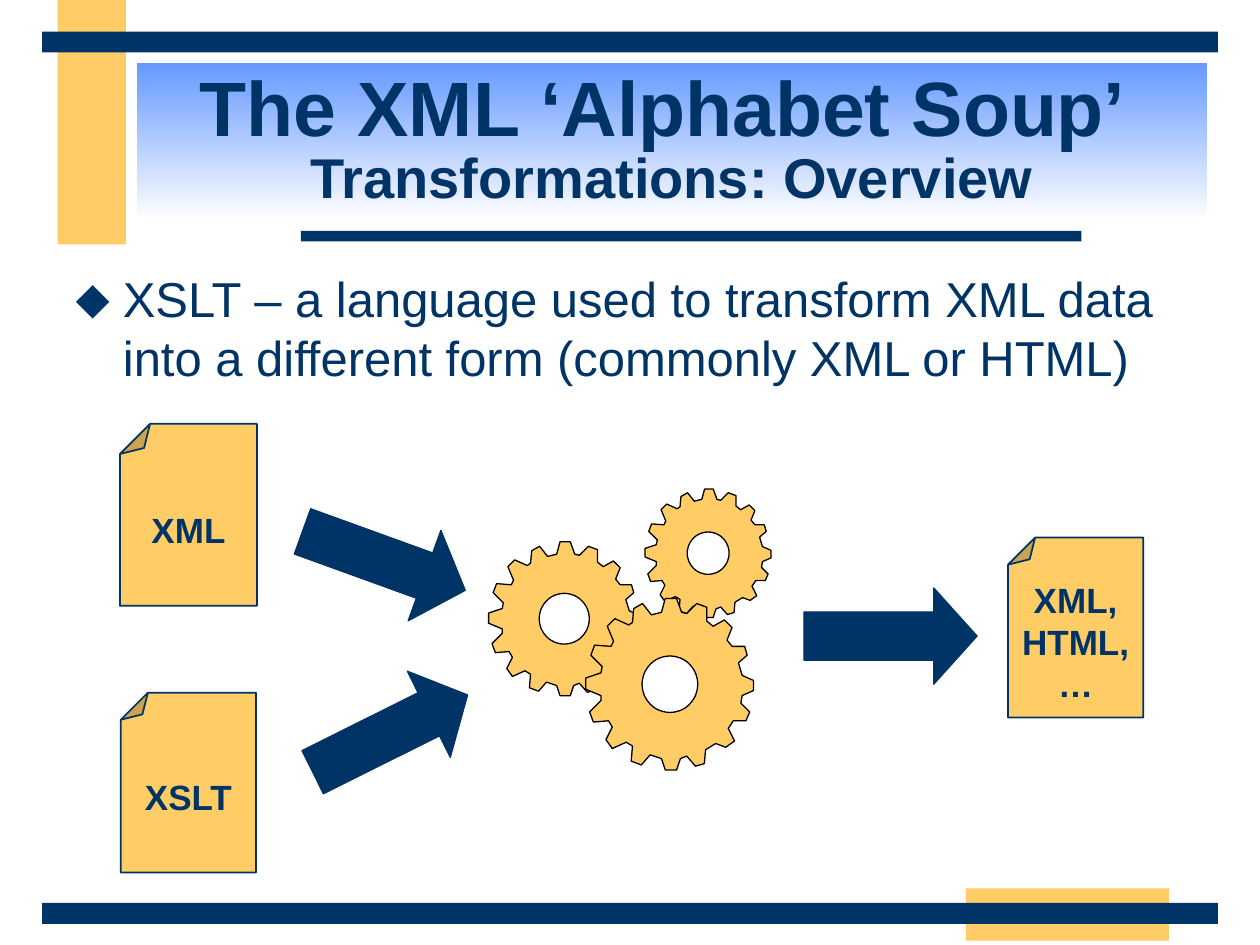
from math import cos, pi, sin

from lxml import etree
from pptx import Presentation
from pptx.dml.color import RGBColor
from pptx.enum.shapes import MSO_SHAPE
from pptx.enum.text import MSO_ANCHOR, MSO_AUTO_SIZE, PP_ALIGN
from pptx.oxml.ns import qn
from pptx.util import Pt

RECTANGLE = MSO_SHAPE.RECTANGLE
FOLDED_CORNER = MSO_SHAPE.FOLDED_CORNER
RIGHT_ARROW = MSO_SHAPE.RIGHT_ARROW
MIDDLE = MSO_ANCHOR.MIDDLE
CENTER = PP_ALIGN.CENTER
NO_AUTOFIT = MSO_AUTO_SIZE.NONE

NAVY = RGBColor(0x00, 0x33, 0x66)
GOLD = RGBColor(0xFF, 0xCC, 0x66)
SKY = RGBColor(0x66, 0x99, 0xFF)
WHITE = RGBColor(0xFF, 0xFF, 0xFF)
BLACK = RGBColor(0x00, 0x00, 0x00)
FONT = "Arial"

GEAR_WIDTH, GEAR_HEIGHT = 1330, 1360
GEAR_TEETH = [
    (600, 110), (630, 0), (720, 0), (760, 110), (800, 120), (880, 40), (960, 70), (960, 180),
    (1010, 220), (1100, 170), (1160, 230), (1120, 330), (1160, 380), (1260, 380), (1280, 450),
    (1210, 510), (1240, 610), (1330, 650), (1330, 730), (1240, 770), (1230, 830), (1300, 900),
    (1270, 970), (1170, 970), (1130, 1030), (1180, 1130), (1110, 1180), (1030, 1150), (950, 1200),
    (940, 1310), (870, 1330), (800, 1250), (750, 1270), (720, 1360), (630, 1360), (600, 1270),
    (510, 1240), (440, 1320), (360, 1290), (370, 1170), (320, 1140), (210, 1190), (160, 1120),
    (210, 1020), (180, 970), (60, 980), (30, 900), (120, 810), (120, 770), (0, 720), (0, 630),
    (120, 590), (130, 540), (40, 450), (70, 370), (200, 380), (220, 340), (170, 220), (230, 160),
    (340, 210), (370, 190), (380, 80), (450, 40), (520, 130),
]
HOLE_STEPS = 48
GEAR_HOLE = [
    (667 + 221 * sin(2 * pi * step / HOLE_STEPS), 680 + 224 * cos(2 * pi * step / HOLE_STEPS))
    for step in range(HOLE_STEPS)
]


def paint(shape, fill, line=None, weight=1):
    shape.shadow.inherit = False
    shape.fill.solid()
    shape.fill.fore_color.rgb = fill
    if line is None:
        shape.line.fill.background()
    else:
        shape.line.color.rgb = line
        shape.line.width = Pt(weight)


def style(paragraph, size, bold):
    paragraph.font.name = FONT
    paragraph.font.size = Pt(size)
    paragraph.font.bold = bold
    paragraph.font.color.rgb = NAVY


prs = Presentation()
prs.slide_width, prs.slide_height = Pt(720), Pt(540)
slide = prs.slides.add_slide(prs.slide_layouts[1])
shapes = slide.shapes

for left, top, width, height, color in [
    (33, 0, 39, 139.7, GOLD),
    (552, 507.6, 116, 30, GOLD),
    (172, 132, 446, 6, NAVY),
    (24, 516, 672, 12, NAVY),
    (24, 18, 672, 12, NAVY),
]:
    bar = shapes.add_shape(RECTANGLE, Pt(left), Pt(top), Pt(width), Pt(height))
    paint(bar, color)

title = shapes.title
title.left, title.top, title.width, title.height = Pt(78), Pt(36), Pt(612), Pt(90)
title.fill.gradient()
title.fill.gradient_angle = 270
for stop, color in zip(title.fill.gradient_stops, (SKY, WHITE)):
    stop.color.rgb = color
title.text_frame.auto_size = NO_AUTOFIT
title.text_frame.vertical_anchor = MIDDLE
heading = title.text_frame.paragraphs[0]
heading.alignment = CENTER
heading.line_spacing = 0.85
style(heading, 44, True)
heading.add_run().text = "The XML ‘Alphabet Soup’ "
heading.add_line_break()
subheading = heading.add_run()
subheading.text = "Transformations: Overview"
subheading.font.size = Pt(32)

body = slide.placeholders[1]
body.left, body.top, body.width, body.height = Pt(36), Pt(150), Pt(648), Pt(354)
body.text_frame.auto_size = NO_AUTOFIT
definition = body.text_frame.paragraphs[0]
definition.text = "XSLT – a language used to transform XML data into a different form (commonly XML or HTML)"
definition.space_before = Pt(0)
properties = definition._p.get_or_add_pPr()
properties.set("marL", str(Pt(27)))
properties.set("indent", str(-Pt(27)))
bullet_color = etree.SubElement(properties, qn("a:buClr"))
etree.SubElement(bullet_color, qn("a:srgbClr"), val=str(NAVY))
etree.SubElement(properties, qn("a:buChar"), char="⬥")
style(definition, 28, False)

for label, left, top, width, height, fold in [
    ("XML,\nHTML,\n…", 576, 307.2, 77.3, 102.8, 0.2),
    ("XML", 68.5, 242.2, 78.3, 104, 0.22),
    ("XSLT", 69, 395.8, 77.3, 102.8, 0.2),
]:
    document = shapes.add_shape(FOLDED_CORNER, Pt(left), Pt(top), Pt(width), Pt(height))
    fold_values = document._element.spPr.find(qn("a:prstGeom")).get_or_add_avLst()
    etree.SubElement(fold_values, qn("a:gd"), name="adj", fmla=f"val {round(fold * 100000)}")
    document.rotation = 180
    paint(document, GOLD, NAVY)
    frame = document.text_frame
    frame.word_wrap = False
    frame.vertical_anchor = MIDDLE
    frame._txBody.bodyPr.set("rot", str(180 * 60000))
    caption = frame.paragraphs[0]
    caption.text = label
    caption.alignment = CENTER
    style(caption, 20, True)

for left, top, width, height in [
    (368.6, 279.4, 72, 73.4),
    (279.2, 309.6, 86.2, 88),
    (334.8, 342, 95.8, 98),
]:
    scale = (Pt(width) / GEAR_WIDTH, Pt(height) / GEAR_HEIGHT)
    outline = shapes.build_freeform(*GEAR_TEETH[0], scale=scale)
    outline.add_line_segments(GEAR_TEETH[1:])
    outline.move_to(*GEAR_HOLE[0])
    outline.add_line_segments(GEAR_HOLE[1:])
    gear = outline.convert_to_shape(Pt(left), Pt(top))
    paint(gear, GOLD, BLACK, 0.75)

for left, top, angle in [(169.9, 293, 19.9), (173.5, 391.7, 333.5), (459.4, 336, 0)]:
    arrow = shapes.add_shape(RIGHT_ARROW, Pt(left), Pt(top), Pt(98.9), Pt(55))
    arrow.adjustments[0] = 0.5
    arrow.adjustments[1] = 0.45
    arrow.rotation = angle
    paint(arrow, NAVY, NAVY, 0.75)

prs.save("out.pptx")
